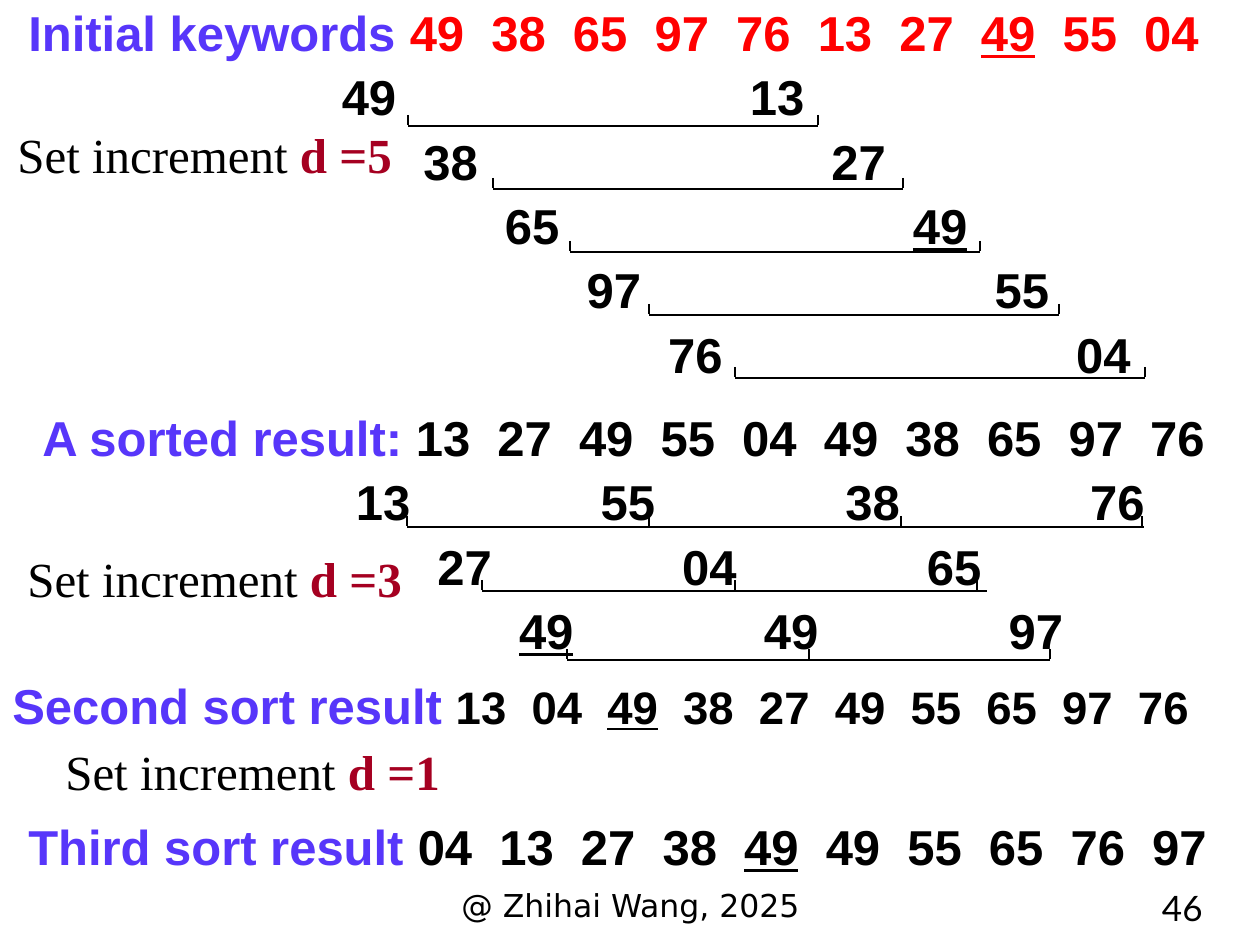
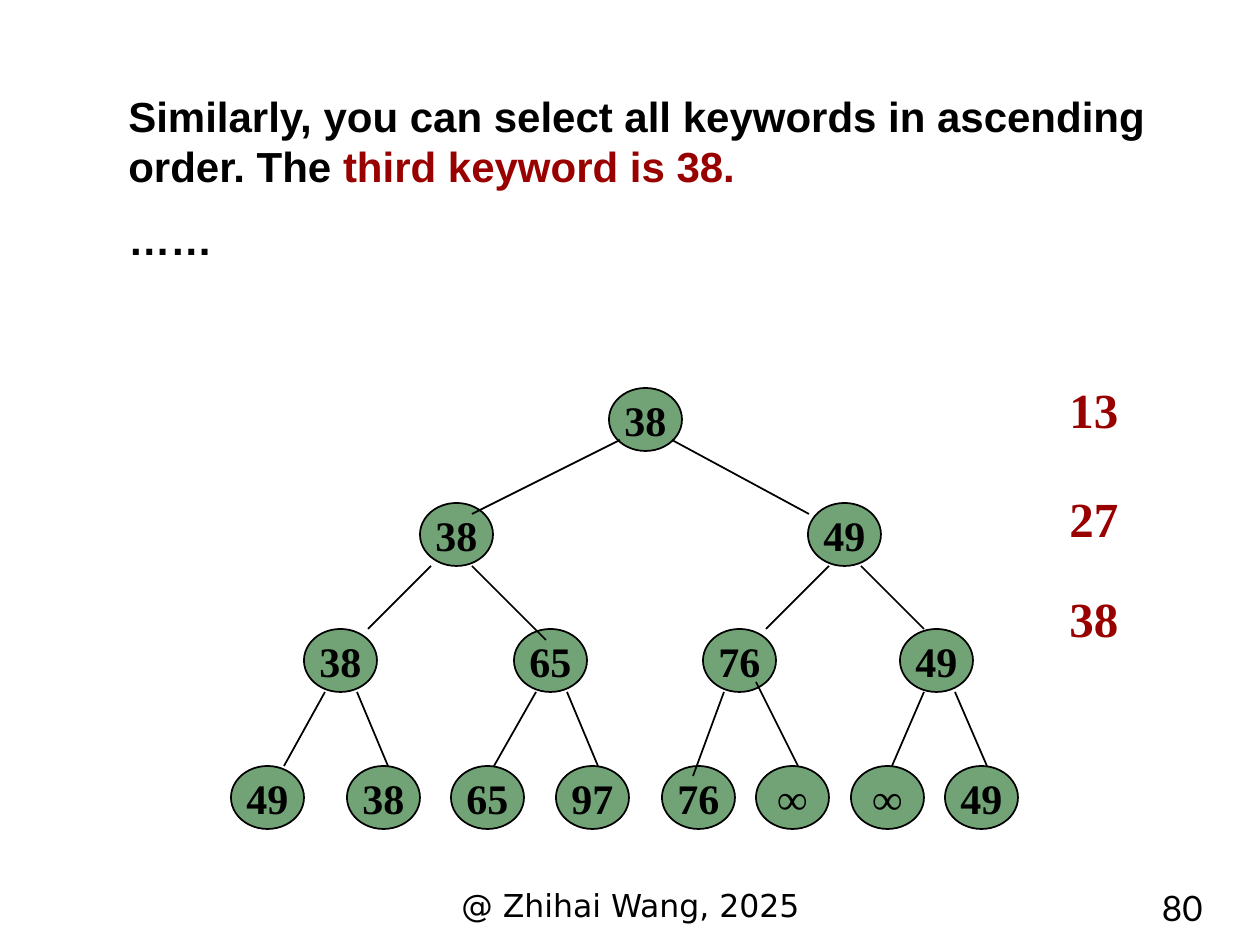
"""Build two slides on sorting: Shell sort passes and a tournament tree."""
from dataclasses import dataclass

from lxml import etree
from pptx import Presentation
from pptx.dml.color import RGBColor
from pptx.enum.shapes import MSO_CONNECTOR, MSO_SHAPE
from pptx.enum.text import MSO_ANCHOR, PP_ALIGN
from pptx.oxml.ns import qn
from pptx.util import Emu, Pt

ELLIPSE = MSO_SHAPE.OVAL
STRAIGHT = MSO_CONNECTOR.STRAIGHT
LEFT, CENTER, RIGHT = PP_ALIGN.LEFT, PP_ALIGN.CENTER, PP_ALIGN.RIGHT
MIDDLE = MSO_ANCHOR.MIDDLE
PX_PER_INCH = 126
BOX_INSET = Emu(91440)


@dataclass(frozen=True)
class Style:
    """Look of one run of text."""
    font: str
    size: int
    color: str
    bold: bool = False


@dataclass(frozen=True)
class Theme:
    """Colours, type styles and spacing shared by the slides."""
    ink: str = "000000"
    node: str = "72A376"
    line_width: float = 1
    row_gap: float = 3.2
    body_gap: float = 13
    label: Style = Style("Arial", 28, "5736FA", True)
    initial: Style = Style("Arial", 28, "FF0000", True)
    key: Style = Style("Arial", 28, "000000", True)
    small_key: Style = Style("Arial", 26, "000000", True)
    step: Style = Style("Times New Roman", 28, "000000")
    step_value: Style = Style("Times New Roman", 28, "A50021", True)
    body: Style = Style("Arial", 24, "000000", True)
    body_accent: Style = Style("Arial", 24, "990000", True)
    winner: Style = Style("Times New Roman", 28, "990000", True)
    node_text: Style = Style("Times New Roman", 24, "000000", True)
    footer: Style = Style("DejaVu Sans", 18, "000000")
    number: Style = Style("Lato", 20, "000000")


THEME = Theme()


@dataclass(frozen=True)
class Frame:
    """Position and size in px."""
    left: int
    top: int
    width: int
    height: int


@dataclass(frozen=True)
class Span:
    """One run of text."""
    text: str
    style: Style
    underline: bool = False


@dataclass(frozen=True)
class Line:
    """One paragraph with its tab stops in page px."""
    spans: list[Span]
    stops: tuple[float, ...] = ()


@dataclass(frozen=True)
class Bracket:
    """A base line with upright ticks."""
    y: int
    ticks: tuple[int, ...]
    right: int


@dataclass(frozen=True)
class Level:
    """One level of tree nodes."""
    top: int
    lefts: tuple[int, ...]
    keys: str


def px(value: float) -> Emu:
    """Turn px into EMU."""
    return Emu(round(value * 914400 / PX_PER_INCH))


def add_span(para, span: Span) -> None:
    """Add one styled run."""
    run = para.add_run()
    run.text = span.text
    font = run.font
    font.name = span.style.font
    font.size = Pt(span.style.size)
    font.bold = span.style.bold
    font.color.rgb = RGBColor.from_string(span.style.color)
    if span.underline:
        font.underline = True


def add_stops(para, left: int, stops: tuple[float, ...]) -> None:
    """Set left tab stops at page positions."""
    tabs = etree.SubElement(para._p.get_or_add_pPr(), qn("a:tabLst"))
    for stop in stops:
        position = px(stop - left) - BOX_INSET
        etree.SubElement(tabs, qn("a:tab"), pos=str(position), algn="l")


def add_text(page, frame: Frame, lines: list[Line], gap: float = 0,
             align=LEFT, wrap: bool = True) -> None:
    """Add a text box of one or more paragraphs."""
    box = page.shapes.add_textbox(px(frame.left), px(frame.top), px(frame.width), px(frame.height))
    text = box.text_frame
    text.word_wrap = wrap
    for index, line in enumerate(lines):
        para = text.add_paragraph() if index else text.paragraphs[0]
        if line.stops:
            add_stops(para, frame.left, line.stops)
        para.alignment = align
        if index:
            para.space_before = Pt(gap)
        for span in line.spans:
            add_span(para, span)


def key_line(keys: str, start: float, pitch: float, style: Style, label: str = "") -> Line:
    """Set keys on evenly spaced stops; a leading underscore underlines a key."""
    words = keys.split()
    spans = [Span(label, THEME.label)] if label else []
    for word in words:
        spans += [Span("\t", style), Span(word.lstrip("_"), style, word.startswith("_"))]
    return Line(spans, tuple(start + pitch * column for column in range(len(words))))


def add_line(page, x1: int, y1: int, x2: int, y2: int) -> None:
    """Draw a thin straight line."""
    line = page.shapes.add_connector(STRAIGHT, px(x1), px(y1), px(x2), px(y2))
    line.line.color.rgb = RGBColor.from_string(THEME.ink)
    line.line.width = Pt(THEME.line_width)
    etree.SubElement(line._element.spPr, qn("a:effectLst"))


def add_bracket(page, bracket: Bracket) -> None:
    """Draw a base line and its ticks."""
    add_line(page, bracket.ticks[0], bracket.y, bracket.right, bracket.y)
    for x in bracket.ticks:
        add_line(page, x, bracket.y - 11, x, bracket.y - 1)


def add_node(page, left: int, top: int, key: str) -> None:
    """Draw one tree node."""
    node = page.shapes.add_shape(ELLIPSE, px(left), px(top), px(73), px(63))
    node.shadow.inherit = False
    node.fill.solid()
    node.fill.fore_color.rgb = RGBColor.from_string(THEME.node)
    node.line.color.rgb = RGBColor.from_string(THEME.ink)
    node.line.width = Pt(THEME.line_width)
    text = node.text_frame
    text.word_wrap = False
    text.vertical_anchor = MIDDLE
    para = text.paragraphs[0]
    para.alignment = CENTER
    add_span(para, Span(key, THEME.node_text))


def add_footer(page, number: str) -> None:
    """Add the credit line and slide number."""
    add_text(page, Frame(431, 880, 399, 49),
             [Line([Span("@ Zhihai Wang, 2025", THEME.footer)])], align=CENTER)
    add_text(page, Frame(1022, 880, 193, 49), [Line([Span(number, THEME.number)])], align=RIGHT)


def add_shell_sort(page) -> None:
    """Show the passes of Shell sort."""
    pitch = 81.6
    first_pass = ("49 13", "38 27", "65 _49", "97 55", "76 04")
    second_pass = ("13 55 38 76", "27 04 65", "_49 49 97")
    add_text(page, Frame(16, -4, 1212, 397), [
        key_line("49 38 65 97 76 13 27 _49 55 04", 410, pitch, THEME.initial, "Initial keywords"),
        *(key_line(keys, 342 + pitch * row, 5 * pitch, THEME.key)
          for row, keys in enumerate(first_pass))], THEME.row_gap)
    add_text(page, Frame(30, 401, 1230, 268), [
        key_line("13 27 49 55 04 49 38 65 97 76", 416, pitch, THEME.key, "A sorted result:"),
        *(key_line(keys, 356 + pitch * row, 3 * pitch, THEME.key)
          for row, keys in enumerate(second_pass))], THEME.row_gap)
    add_text(page, Frame(0, 669, 1260, 137), [
        key_line("13 04 _49 38 27 49 55 65 97 76", 456, 75.8, THEME.small_key,
                 "Second sort result")])
    add_text(page, Frame(16, 810, 1236, 72), [
        key_line("04 13 27 38 _49 49 55 65 76 97", 418, pitch, THEME.key, "Third sort result")])

    for row, left in enumerate((408, 493, 570, 649, 735)):
        add_bracket(page, Bracket(126 + 63 * row, (left, left + 410), left + 410))
    for bracket in (Bracket(527, (407, 649, 901, 1142), 1144),
                    Bracket(591, (482, 735, 977), 987),
                    Bracket(660, (567, 809, 1050), 1050)):
        add_bracket(page, bracket)
    add_line(page, 987, 619, 987, 619)

    for left, top, value in ((5, 118, "5"), (15, 542, "3"), (53, 735, "1")):
        add_text(page, Frame(left, top, 401, 72), [
            Line([Span("Set increment ", THEME.step), Span(f"d ={value}", THEME.step_value)])],
            wrap=False)


def add_tournament(page) -> None:
    """Show the tree that selects the third keyword."""
    levels = (
        Level(766, (231, 347, 451, 556, 662, 756, 851, 945), "49 38 65 97 76 ∞ ∞ 49"),
        Level(629, (304, 514, 703, 900), "38 65 76 49"),
        Level(503, (420, 808), "38 49"),
        Level(388, (609,), "38"),
    )
    branches = (
        (620, 440, 472, 514), (672, 440, 809, 514),
        (431, 566, 368, 629), (472, 566, 546, 640),
        (829, 566, 766, 629), (861, 566, 924, 629),
        (325, 692, 284, 766), (357, 692, 388, 766),
        (536, 692, 494, 766), (567, 692, 598, 766),
        (724, 692, 693, 776), (756, 682, 798, 766),
        (924, 692, 892, 766), (955, 692, 987, 766),
    )
    for level in levels:
        for left, key in zip(level.lefts, level.keys.split()):
            add_node(page, left, level.top, key)
    for branch in branches:
        add_line(page, *branch)
    add_text(page, Frame(116, 84, 1081, 190), [
        Line([Span("Similarly, you can select all keywords in ascending order. The ", THEME.body),
              Span("third keyword is 38.", THEME.body_accent)]),
        Line([Span("……", THEME.body)])], THEME.body_gap)
    for top, key in ((373, "13"), (482, "27"), (582, "38")):
        add_text(page, Frame(1057, top, 90, 79), [Line([Span(key, THEME.winner)])])


def main() -> None:
    """Build and save the deck."""
    deck = Presentation()
    deck.slide_width, deck.slide_height = px(1260), px(945)
    for draw, number in ((add_shell_sort, "46"), (add_tournament, "80")):
        page = deck.slides.add_slide(deck.slide_layouts[6])
        draw(page)
        add_footer(page, number)
    deck.save("out.pptx")


if __name__ == "__main__":
    main()
